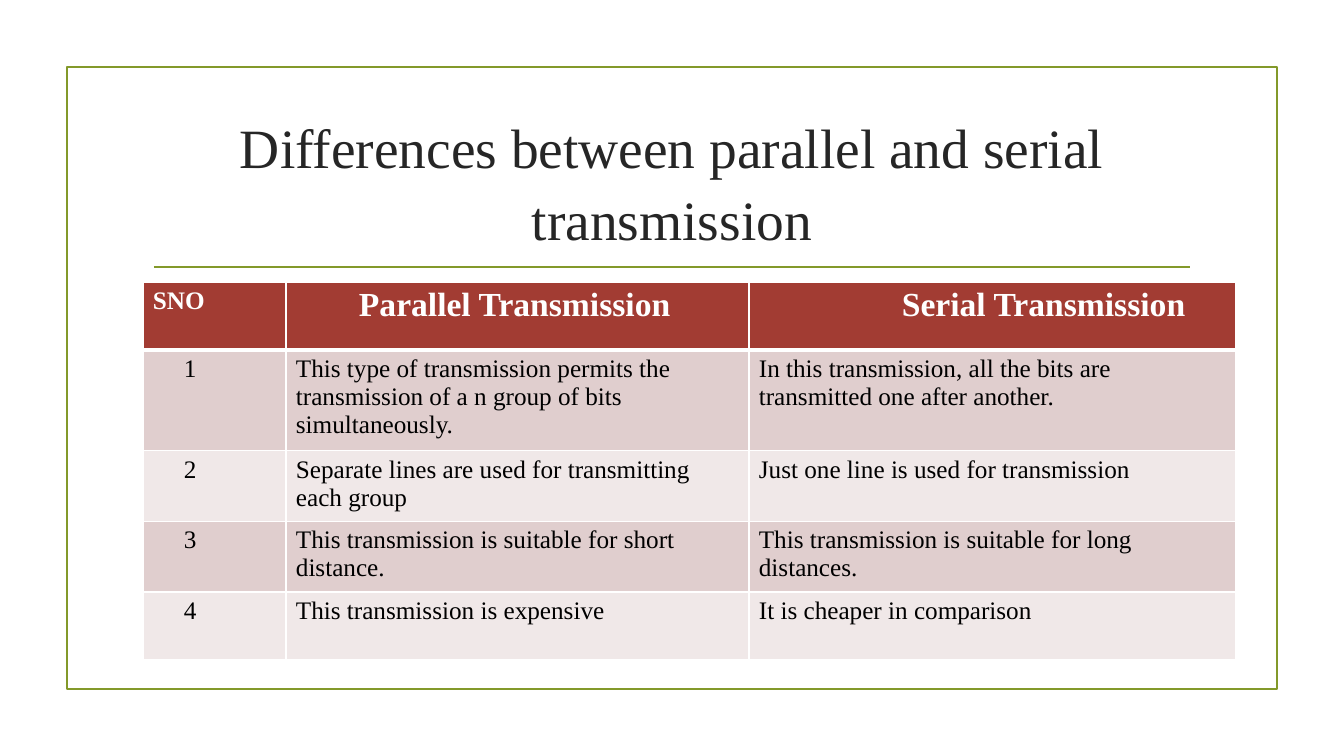
import dataclasses
import lxml.etree
import pptx
import pptx.dml.color
import pptx.enum.shapes
import pptx.enum.text
import pptx.oxml.ns
import pptx.util


@dataclasses.dataclass(frozen=True)
class Theme:
    """Hold the colours and type sizes of the slide."""
    font: str = "Times New Roman"
    green: str = "83992A"
    dark: str = "262626"
    red: str = "A23C33"
    bands: tuple = ("E0CECE", "F0E8E8")
    white: str = "FFFFFF"
    black: str = "000000"
    title: float = 39.6
    head: int = 24
    body: int = 18
    line: float = 1.25


THEME = Theme()
TITLE = "Differences between parallel and serial transmission"
ROWS = [
    ("SNO", "Parallel Transmission", "Serial Transmission"),
    ("1", "This type of transmission permits the transmission of a n group of bits simultaneously.",
     "In this transmission, all the bits are transmitted one after another."),
    ("2", "Separate lines are used for transmitting each group",
     "Just one line is used for transmission"),
    ("3", "This transmission is suitable for short distance.",
     "This transmission is suitable for long distances."),
    ("4", "This transmission is expensive", "It is cheaper in comparison"),
]
COLS = (143, 463, 487)
HEAD_PADS = (10, 73, 153)
BODY_PADS = (41, 10, 10)
ROW_HIGH = 68


def px(num):
    """Turn pixels into EMU."""
    return pptx.util.Emu(round(num * 914400 / 100.8))


def rgb(code):
    """Turn a hex code into a colour."""
    return pptx.dml.color.RGBColor.from_string(code)


def style(para, size, color, bold=False):
    """Format every run of a paragraph."""
    for run in para.runs:
        run.font.name = THEME.font
        run.font.size = pptx.util.Pt(size)
        run.font.bold = bold
        run.font.color.rgb = rgb(color)


def stroke(line):
    """Give a line the green stroke."""
    line.color.rgb = rgb(THEME.green)
    line.width = pptx.util.Pt(THEME.line)


def border(cell, base):
    """Draw white borders around a cell with the given bottom width."""
    props = cell._tc.get_or_add_tcPr()
    for spot, (side, wide) in enumerate(zip("LRTB", (1, 1, 1, base))):
        edge = lxml.etree.Element(pptx.oxml.ns.qn(f"a:ln{side}"), w=str(pptx.util.Pt(wide)))
        fill = lxml.etree.SubElement(edge, pptx.oxml.ns.qn("a:solidFill"))
        lxml.etree.SubElement(fill, pptx.oxml.ns.qn("a:srgbClr"), val=THEME.white)
        props.insert(spot, edge)


def add_frame(slide, left, top, width, height):
    """Draw the outer frame and the rule below the title."""
    frame = slide.shapes.add_shape(pptx.enum.shapes.MSO_SHAPE.RECTANGLE,
                                   px(left), px(top), px(width), px(height))
    frame.shadow.inherit = False
    frame.fill.background()
    stroke(frame.line)
    rule = slide.shapes.add_connector(pptx.enum.shapes.MSO_CONNECTOR.STRAIGHT,
                                      px(left + 87), px(top + 200),
                                      px(left + width - 87), px(top + 200))
    lxml.etree.SubElement(rule._element.spPr, pptx.oxml.ns.qn("a:effectLst"))
    stroke(rule.line)


def add_title(slide, left, top, width, height):
    """Write the centred title in its box."""
    frame = slide.shapes.add_textbox(px(left), px(top), px(width), px(height)).text_frame
    frame.word_wrap = True
    frame.vertical_anchor = pptx.enum.text.MSO_ANCHOR.MIDDLE
    frame.text = TITLE
    para = frame.paragraphs[0]
    para.alignment = pptx.enum.text.PP_ALIGN.CENTER
    para.line_spacing = 1.08
    style(para, THEME.title, THEME.dark)


def add_grid(slide, left, top):
    """Build the comparison table from its top left corner."""
    grid = slide.shapes.add_table(len(ROWS), len(COLS), px(left), px(top),
                                  px(sum(COLS)), px(ROW_HIGH * len(ROWS))).table
    for col, width in zip(grid.columns, COLS):
        col.width = px(width)
    for i, texts in enumerate(ROWS):
        grid.rows[i].height = px(ROW_HIGH)
        head = i == 0
        for j, text in enumerate(texts):
            cell = grid.cell(i, j)
            cell.text = text
            cell.margin_left = px((HEAD_PADS if head else BODY_PADS)[j])
            cell.fill.solid()
            cell.fill.fore_color.rgb = rgb(THEME.red if head else THEME.bands[(i - 1) % 2])
            style(cell.text_frame.paragraphs[0],
                  THEME.head if head and j else THEME.body,
                  THEME.white if head else THEME.black, head)
            border(cell, 3 if head else 1)


def main():
    """Build and save the slide."""
    deck = pptx.Presentation()
    deck.slide_width, deck.slide_height = px(1344), px(756)
    slide = deck.slides.add_slide(deck.slide_layouts[6])
    add_frame(slide, 67, 67, 1210, 622)
    add_title(slide, 143, 108, 1058, 144)
    add_grid(slide, 143, 282)
    deck.save("out.pptx")


if __name__ == "__main__":
    main()
